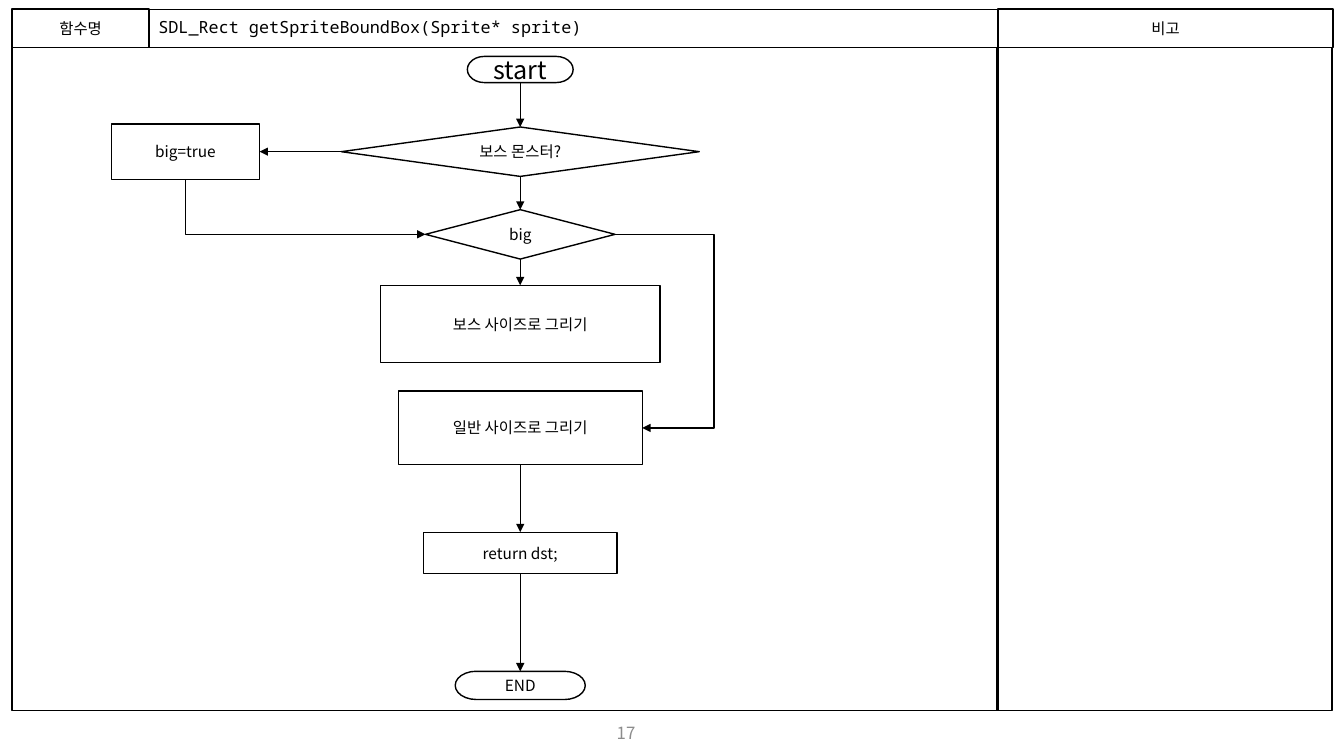
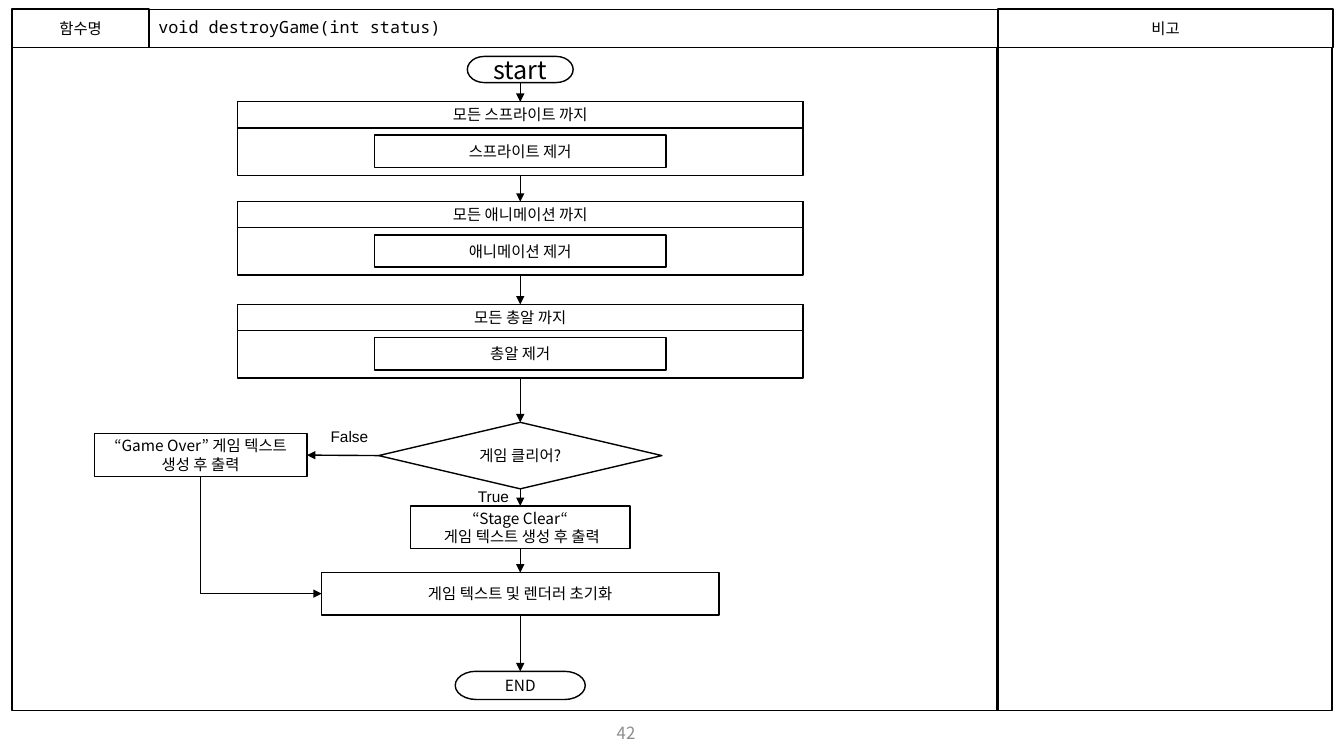
import pptx
import pptx.dml.color
import pptx.enum.shapes
import pptx.enum.text
import pptx.oxml.ns
import pptx.util
from lxml import etree

Inches = pptx.util.Inches
Pt = pptx.util.Pt
qn = pptx.oxml.ns.qn
Kind = pptx.enum.shapes.MSO_SHAPE
ConnectorKind = pptx.enum.shapes.MSO_CONNECTOR
Align = pptx.enum.text.PP_ALIGN

BLACK, WHITE, GRAY = "000000", "FFFFFF", "8C8C8C"
KOREAN_FONT, CODE_FONT, LABEL_FONT = "Noto Sans CJK KR", "Noto Sans Mono", "Arial"
AXIS = 5.16
HEADER_TOP, HEADER_HEIGHT, BODY_TOP, BODY_HEIGHT = 0.09, 0.38, 0.47, 6.58
TOP, LEFT, BOTTOM, RIGHT = range(4)  # connection sites of a shape


def color(hex_value):
    return pptx.dml.color.RGBColor.from_string(hex_value)


def set_line(line, width=1):
    line.color.rgb = color(BLACK)
    line.width = Pt(width)


def write(shape, text, size=11, font=KOREAN_FONT, text_color=BLACK, align=Align.CENTER):
    frame = shape.text_frame
    frame.word_wrap = True
    frame.vertical_anchor = pptx.enum.text.MSO_ANCHOR.MIDDLE
    frame.text = text
    for paragraph in frame.paragraphs:
        paragraph.alignment = align
        paragraph.font.size = Pt(size)
        paragraph.font.name = font
        paragraph.font.color.rgb = color(text_color)
        defaults = paragraph._p.pPr.find(qn("a:defRPr"))
        etree.SubElement(defaults, qn("a:ea")).set("typeface", font)


def add_box(slide, left, top, width, height, text="", kind=Kind.RECTANGLE, fill=None, size=11):
    shape = slide.shapes.add_shape(kind, Inches(left), Inches(top), Inches(width), Inches(height))
    shape.shadow.inherit = False
    if fill:
        shape.fill.solid()
        shape.fill.fore_color.rgb = color(fill)
    else:
        shape.fill.background()
    set_line(shape.line)
    if text:
        write(shape, text, size)
    return shape


def add_step(slide, top, width, height, text="", kind=Kind.RECTANGLE, center=AXIS, size=11):
    """Add a white flowchart node centred on a vertical axis."""
    return add_box(slide, center - width / 2, top, width, height, text, kind, WHITE, size)


def add_decision(slide, top, width, height, text):
    return add_step(slide, top, width, height, text, Kind.FLOWCHART_DECISION)


def add_loop(slide, top, condition, action):
    """Add a loop frame with its condition bar and inner action; return the frame."""
    frame = add_step(slide, top, 5.61, 0.73)
    add_step(slide, top, 5.61, 0.26, condition)
    add_step(slide, top + 0.33, 2.89, 0.32, action)
    return frame


def add_label(slide, left, top, width, height, text, **style):
    label = slide.shapes.add_textbox(Inches(left), Inches(top), Inches(width), Inches(height))
    write(label, text, **style)


def connect(slide, start, end, start_site=BOTTOM, end_site=TOP, kind=ConnectorKind.STRAIGHT):
    connector = slide.shapes.add_connector(kind, 0, 0, 0, 0)
    connector.begin_connect(start, start_site)
    connector.end_connect(end, end_site)
    set_line(connector.line)
    line = connector.line._ln
    etree.SubElement(line, qn("a:tailEnd")).set("type", "triangle")
    etree.SubElement(connector._element.spPr, qn("a:effectLst"))
    return connector


def connect_down_right(slide, start, end):
    """Leave the bottom of start and turn once into the left side of end."""
    connector = connect(slide, start, end, BOTTOM, LEFT, ConnectorKind.ELBOW)
    left, top, width, height = connector.left, connector.top, connector.width, connector.height
    connector.left = left + (width - height) // 2
    connector.top = top + (height - width) // 2
    connector.width, connector.height = height, width
    connector.rotation = 270
    properties = connector._element.spPr
    properties.find(qn("a:xfrm")).set("flipH", "1")
    properties.find(qn("a:prstGeom")).set("prst", "bentConnector2")


def connect_around_right(slide, start, end, turn_x):
    """Join the right sides of two shapes by way of a vertical run at turn_x."""
    connector = connect(slide, start, end, RIGHT, RIGHT, ConnectorKind.ELBOW)
    ratio = (Inches(turn_x) - connector.begin_x) / (connector.end_x - connector.begin_x)
    geometry = connector._element.spPr.find(qn("a:prstGeom"))
    guide = etree.SubElement(geometry.find(qn("a:avLst")), qn("a:gd"))
    guide.set("name", "adj1")
    guide.set("fmla", f"val {round(ratio * 100000)}")


def connect_chain(slide, steps):
    for start, end in zip(steps, steps[1:]):
        connect(slide, start, end)


def add_function_slide(presentation, signature, page):
    """Add the form shared by all slides; return slide, start node and end node."""
    slide = presentation.slides.add_slide(presentation.slide_layouts[5])
    title = slide.shapes.title
    title.left, title.top = Inches(1.47), Inches(HEADER_TOP)
    title.width, title.height = Inches(8.42), Inches(HEADER_HEIGHT)
    write(title, signature, 12, CODE_FONT, align=Align.LEFT)
    title.text_frame.auto_size = pptx.enum.text.MSO_AUTO_SIZE.NONE
    title.text_frame.paragraphs[0].line_spacing = 0.9
    set_line(title.line, 0.75)

    add_box(slide, 0.12, HEADER_TOP, 1.36, HEADER_HEIGHT, "함수명")
    add_box(slide, 9.9, HEADER_TOP, 3.32, HEADER_HEIGHT, "비고")
    add_box(slide, 0.12, BODY_TOP, 9.78, BODY_HEIGHT)
    add_box(slide, 9.89, BODY_TOP, 3.32, BODY_HEIGHT)
    add_label(slide, 4.71, 7.13, 3, 0.28, page, size=12, text_color=GRAY)
    start = add_step(slide, 0.56, 1.05, 0.26, "start", Kind.FLOWCHART_TERMINATOR, size=18)
    end = add_step(slide, 6.66, 1.29, 0.28, "END", Kind.FLOWCHART_TERMINATOR)
    return slide, start, end


def add_bound_box_slide(presentation):
    slide, start, end = add_function_slide(
        presentation, "SDL_Rect getSpriteBoundBox(Sprite* sprite)", "17")
    is_boss = add_decision(slide, 1.26, 3.55, 0.49, "보스 몬스터?")
    set_big = add_step(slide, 1.23, 1.47, 0.55, "big=true", center=1.84)
    is_big = add_decision(slide, 2.08, 1.88, 0.49, "big")
    draw_boss = add_step(slide, 2.83, 2.77, 0.77, "보스 사이즈로 그리기")
    draw_normal = add_step(slide, 3.88, 2.42, 0.73, "일반 사이즈로 그리기")
    return_box = add_step(slide, 5.28, 1.92, 0.41, "return dst;")

    connect_chain(slide, [start, is_boss, is_big, draw_boss])
    connect_chain(slide, [draw_normal, return_box, end])
    connect(slide, is_boss, set_big, LEFT, RIGHT)
    connect_down_right(slide, set_big, is_big)
    connect_around_right(slide, is_big, draw_normal, 7.08)


def add_destroy_game_slide(presentation):
    slide, start, end = add_function_slide(presentation, "void destroyGame(int status)", "42")
    loops = [add_loop(slide, top, f"모든 {item} 까지", f"{item} 제거")
             for top, item in ((1.01, "스프라이트"), (2, "애니메이션"), (3.02, "총알"))]
    is_clear = add_decision(slide, 4.19, 2.81, 0.66, "게임 클리어?")
    stage_clear = add_step(slide, 5.02, 2.18, 0.42, "“Stage Clear“\n 게임 텍스트 생성 후 출력")
    game_over = add_step(slide, 4.3, 2.11, 0.43, "“Game Over” 게임 텍스트 생성 후 출력", center=1.99)
    reset = add_step(slide, 5.68, 3.94, 0.42, "게임 텍스트 및 렌더러 초기화")

    connect_chain(slide, [start, *loops, is_clear, stage_clear, reset, end])
    connect(slide, is_clear, game_over, LEFT, RIGHT)
    connect_down_right(slide, game_over, reset)
    for left, top, text in ((4.64, 4.78, "True"), (3.18, 4.18, "False")):
        add_label(slide, left, top, 0.71, 0.29, text, font=LABEL_FONT, align=Align.LEFT)


def main():
    presentation = pptx.Presentation()
    presentation.slide_width = Inches(13.33)
    presentation.slide_height = Inches(7.5)
    add_bound_box_slide(presentation)
    add_destroy_game_slide(presentation)
    presentation.save("out.pptx")


if __name__ == "__main__":
    main()
